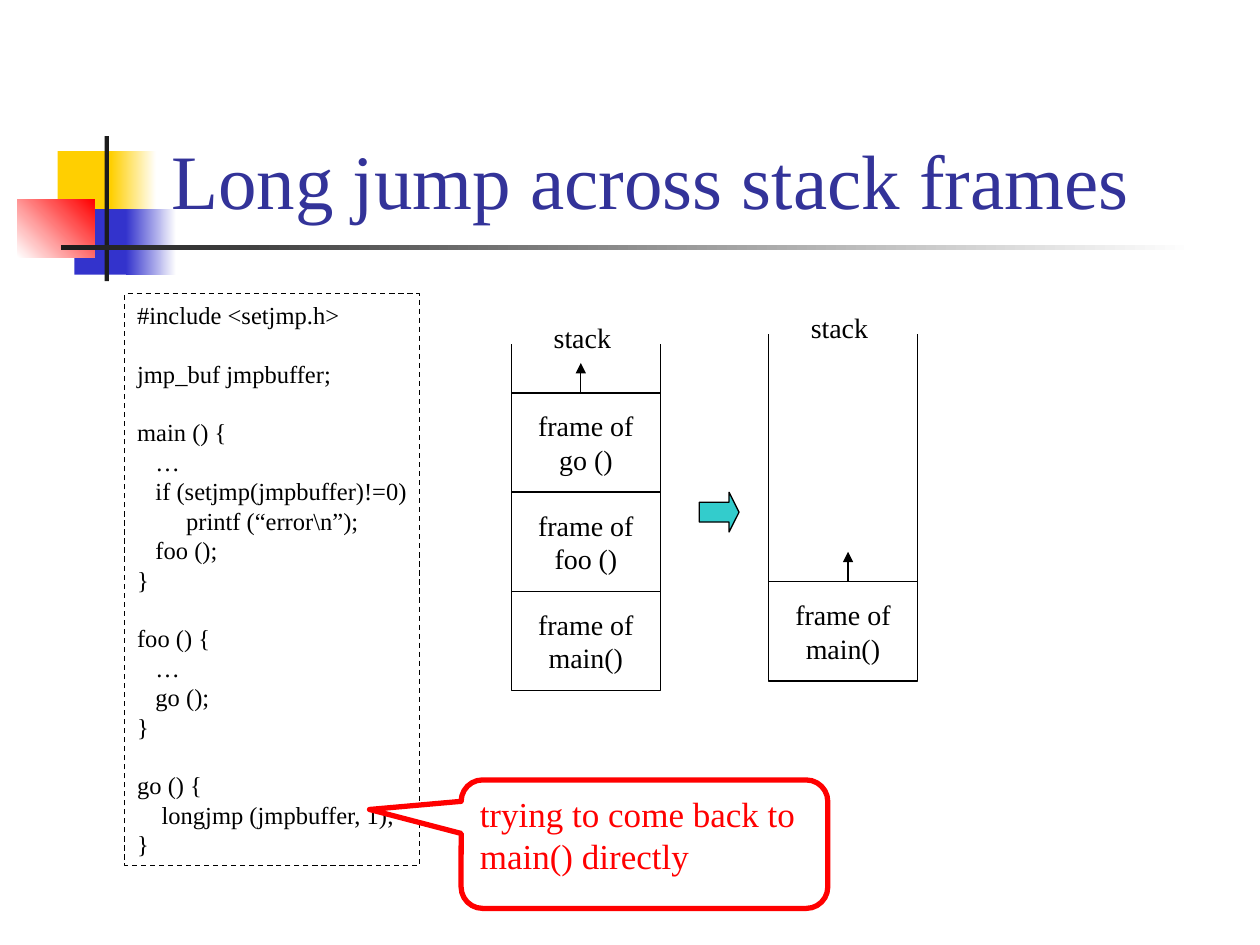
from dataclasses import dataclass
from typing import Any, Optional

from lxml import etree
from pptx import Presentation
from pptx.dml.color import RGBColor
from pptx.enum import dml, shapes, text
from pptx.oxml import ns
from pptx.util import Pt

FONT = "Times New Roman"
BLACK, WHITE, RED, BLUE = "000000", "FFFFFF", "FF0000", "3333CC"
GOLD, DARK = "FFCF01", "1C1C1C"
KIND = shapes.MSO_SHAPE
WIDE, HIGH = 85, 56.64  # one stack frame

CODE = """#include <setjmp.h>

jmp_buf jmpbuffer;

main () {
   …
   if (setjmp(jmpbuffer)!=0)
        printf (“error\\n”);
   foo ();
}

foo () {
   …
   go ();
}

go () {
    longjmp (jmpbuffer, 1);
}"""


@dataclass
class Block:
    x: float
    y: float
    w: float
    h: float
    start: str
    end: Optional[str] = None
    angle: float = 0


@dataclass
class Stack:
    x: float
    rim: float  # top of the side rails
    top: float  # top of the highest frame
    tip: float  # arrow offset from the left rail
    calls: tuple[str, ...]


BLOCKS = [
    Block(33, 86.4, 34.6, 37.4, GOLD),
    Block(63.4, 86.4, 25.9, 37.4, GOLD, WHITE),
    Block(42.5, 119.5, 33.1, 37.4, BLUE),
    Block(72, 119.5, 28.8, 37.4, BLUE, WHITE),
    Block(10, 113.8, 44, 33.1, WHITE, RED, 45),
    Block(59.8, 77.8, 2.4, 82.8, DARK),
    Block(34.6, 140.2, 648, 2.4, DARK, WHITE),
]
FULL = Stack(292.3, 196.6, 224.6, 39.6, ("go ()", "foo ()", "main()"))
CUT = Stack(439.2, 190.8, 332.5, 45.4, ("main()",))


def color(code: str) -> RGBColor:
    return RGBColor.from_string(code)


def write(shape: Any, words: str, *, size: float, ink: str = BLACK,
          align: Any = text.PP_ALIGN.LEFT, anchor: Any = text.MSO_ANCHOR.TOP,
          wrap: bool = False) -> None:
    """Write one paragraph per line; an empty line becomes space before the next."""
    frame = shape.text_frame
    frame.word_wrap, frame.vertical_anchor = wrap, anchor
    pitch = Pt(round(size * 1.2, 1))
    fresh = True
    for group in words.split("\n\n"):
        for row, line in enumerate(group.split("\n")):
            para = frame.paragraphs[0] if fresh else frame.add_paragraph()
            para.alignment, para.line_spacing = align, pitch
            if row == 0 and not fresh:
                para.space_before = pitch
            fresh = False
            run = para.add_run()
            run.text = line
            run.font.name, run.font.size = FONT, Pt(size)
            run.font.color.rgb = color(ink)


def draw(tree: Any, kind: Any, x: float, y: float, w: float, h: float, *,
         fill: Optional[str] = None, line: Optional[str] = None,
         width: float = 0.75) -> Any:
    shape = tree.add_shape(kind, Pt(x), Pt(y), Pt(w), Pt(h))
    shape.shadow.inherit = False
    if fill:
        shape.fill.solid()
        shape.fill.fore_color.rgb = color(fill)
    else:
        shape.fill.background()
    if line:
        shape.line.color.rgb = color(line)
        shape.line.width = Pt(width)
    else:
        shape.line.fill.background()
    return shape


def label(tree: Any, words: str, x: float, y: float, w: float, h: float,
          **style: Any) -> None:
    write(tree.add_textbox(Pt(x), Pt(y), Pt(w), Pt(h)), words, **style)


def rise(tree: Any, x: float, low: float, high: float, head: bool = False) -> None:
    """Draw a vertical line upwards, with an arrowhead on request."""
    line = tree.add_connector(shapes.MSO_CONNECTOR.STRAIGHT,
                              Pt(x), Pt(low), Pt(x), Pt(high))
    line.line.color.rgb = color(BLACK)
    line.line.width = Pt(0.75)
    if head:
        etree.SubElement(line.get_or_add_ln(), ns.qn("a:tailEnd"),
                         type="triangle")
    etree.SubElement(line.element.spPr, ns.qn("a:effectLst"))


def paint(tree: Any, block: Block) -> None:
    shape = draw(tree, KIND.RECTANGLE, block.x, block.y, block.w, block.h,
                 fill=block.start)
    if block.end:
        shape.fill.gradient()
        shape.fill.gradient_angle = block.angle
        for stop, code in zip(shape.fill.gradient_stops, (block.start, block.end)):
            stop.color.rgb = color(code)


def pile(tree: Any, stack: Stack) -> None:
    """Draw a stack: its frames, side rails, growth arrow and label."""
    for row, call in enumerate(stack.calls):
        box = draw(tree, KIND.RECTANGLE, stack.x, stack.top + row * HIGH,
                   WIDE, HIGH, line=BLACK)
        write(box, f"frame of\n{call}", size=16, align=text.PP_ALIGN.CENTER,
              anchor=text.MSO_ANCHOR.MIDDLE)
    for side in (stack.x, stack.x + WIDE):
        rise(tree, side, stack.top, stack.rim)
    rise(tree, stack.x + stack.tip, stack.top, stack.top - 17.2, head=True)
    label(tree, "stack", stack.x + 17, stack.rim - 17, 54, 26.6, size=16,
          wrap=True)


def main() -> None:
    deck = Presentation()
    deck.slide_width, deck.slide_height = Pt(720), Pt(540)
    tree = deck.slides.add_slide(deck.slide_layouts[6]).shapes

    for block in BLOCKS:
        paint(tree, block)
    label(tree, "Long jump across stack frames", 90.7, 16.6, 613.4, 115.2,
          size=44, ink="333399", anchor=text.MSO_ANCHOR.BOTTOM, wrap=True)

    code = draw(tree, KIND.RECTANGLE, 71.3, 167.8, 168.5, 326.9, line=BLACK)
    code.line.dash_style = dml.MSO_LINE.DASH
    write(code, CODE, size=14)

    note = draw(tree, KIND.ROUNDED_RECTANGULAR_CALLOUT, 263.5, 445.7, 209.5, 73.4,
                fill=WHITE, line=RED, width=3)
    note.adjustments[0], note.adjustments[1] = -0.75, -0.27
    write(note, "trying to come back to main() directly", size=20, ink=RED,
          wrap=True)

    pile(tree.add_group_shape().shapes, FULL)
    after = tree.add_group_shape().shapes
    arrow = draw(after, KIND.RIGHT_ARROW, 399.6, 281.3, 22.7, 22.7,
                 fill="33CCCC", line=BLACK)
    arrow.adjustments[1] = 0.25
    pile(after, CUT)

    deck.save("out.pptx")


if __name__ == "__main__":
    main()
